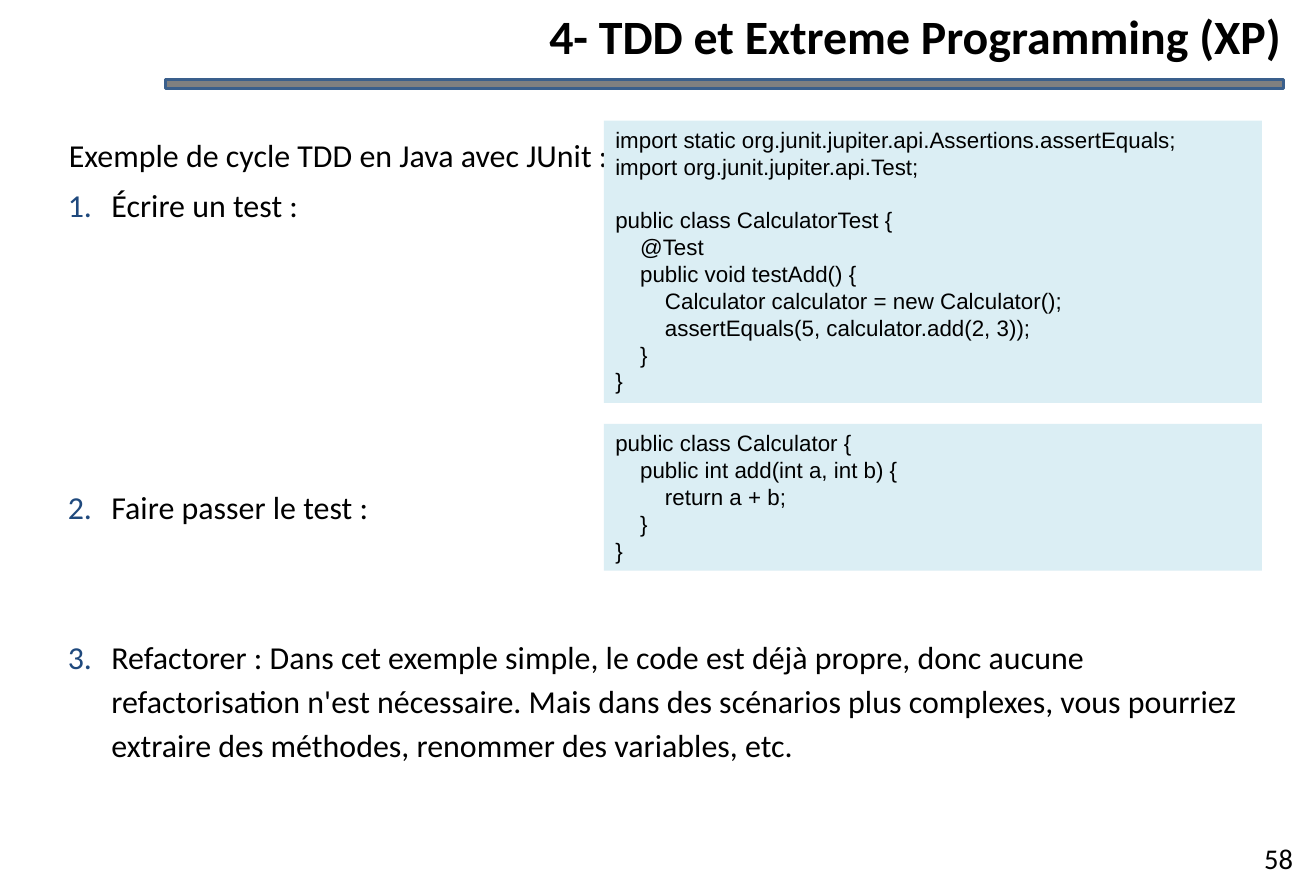
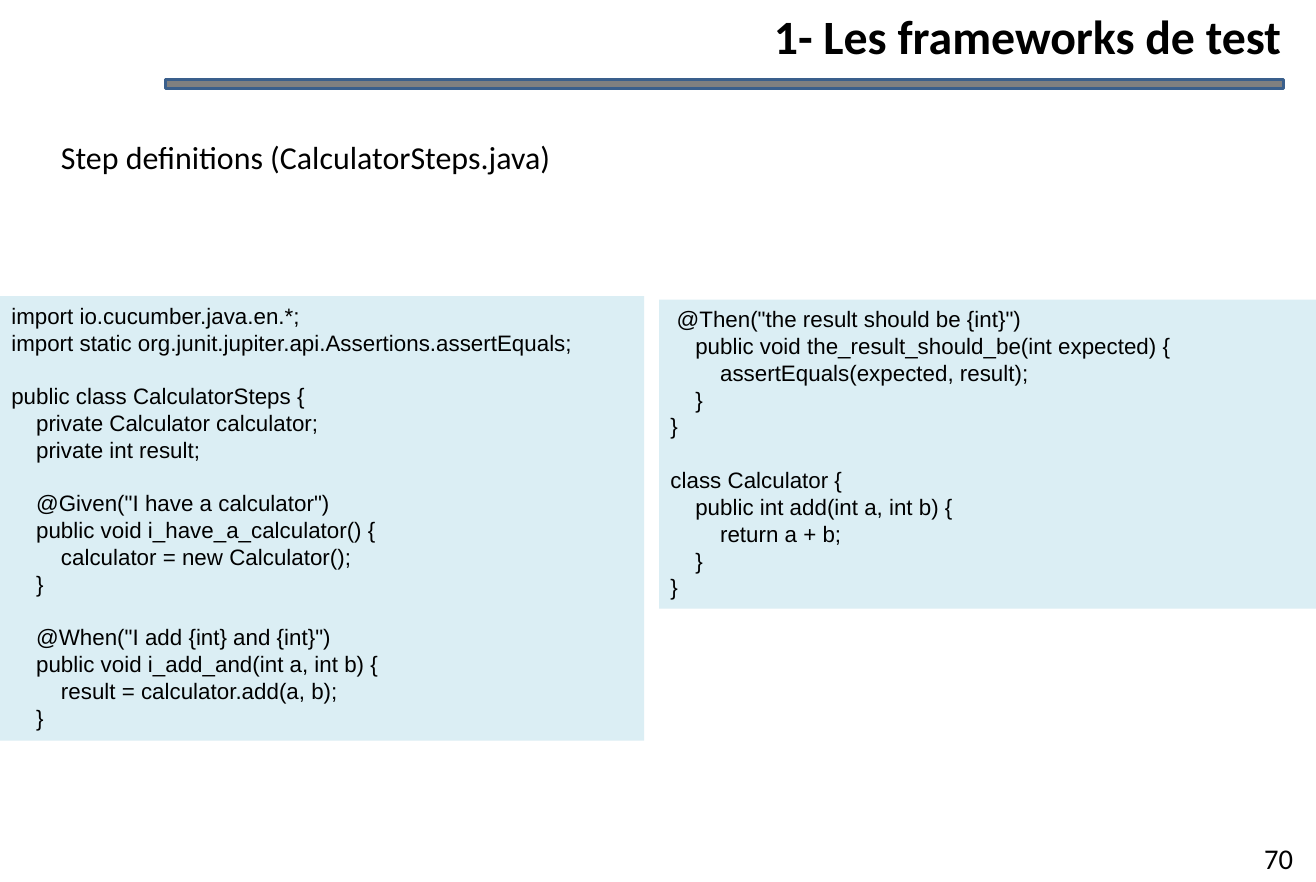
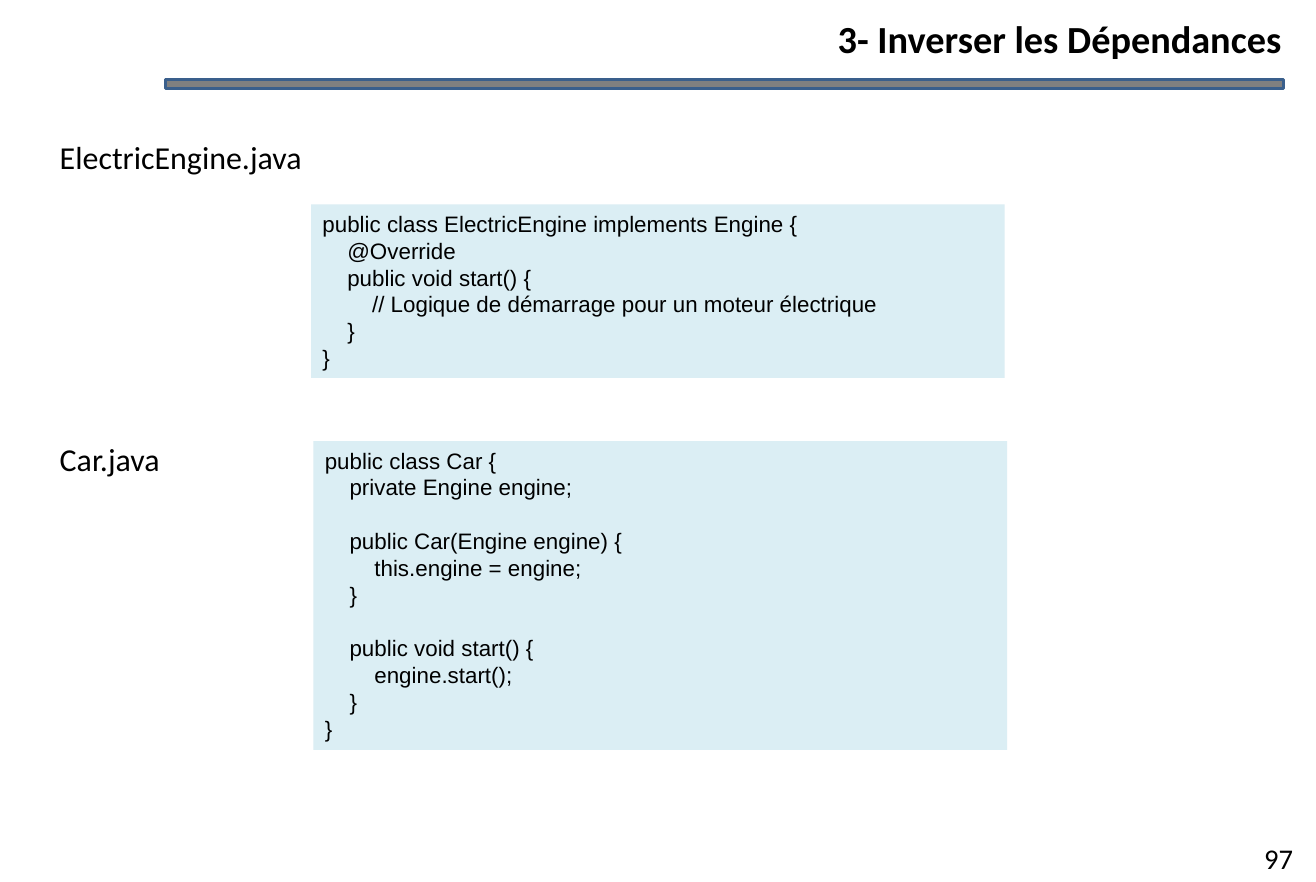
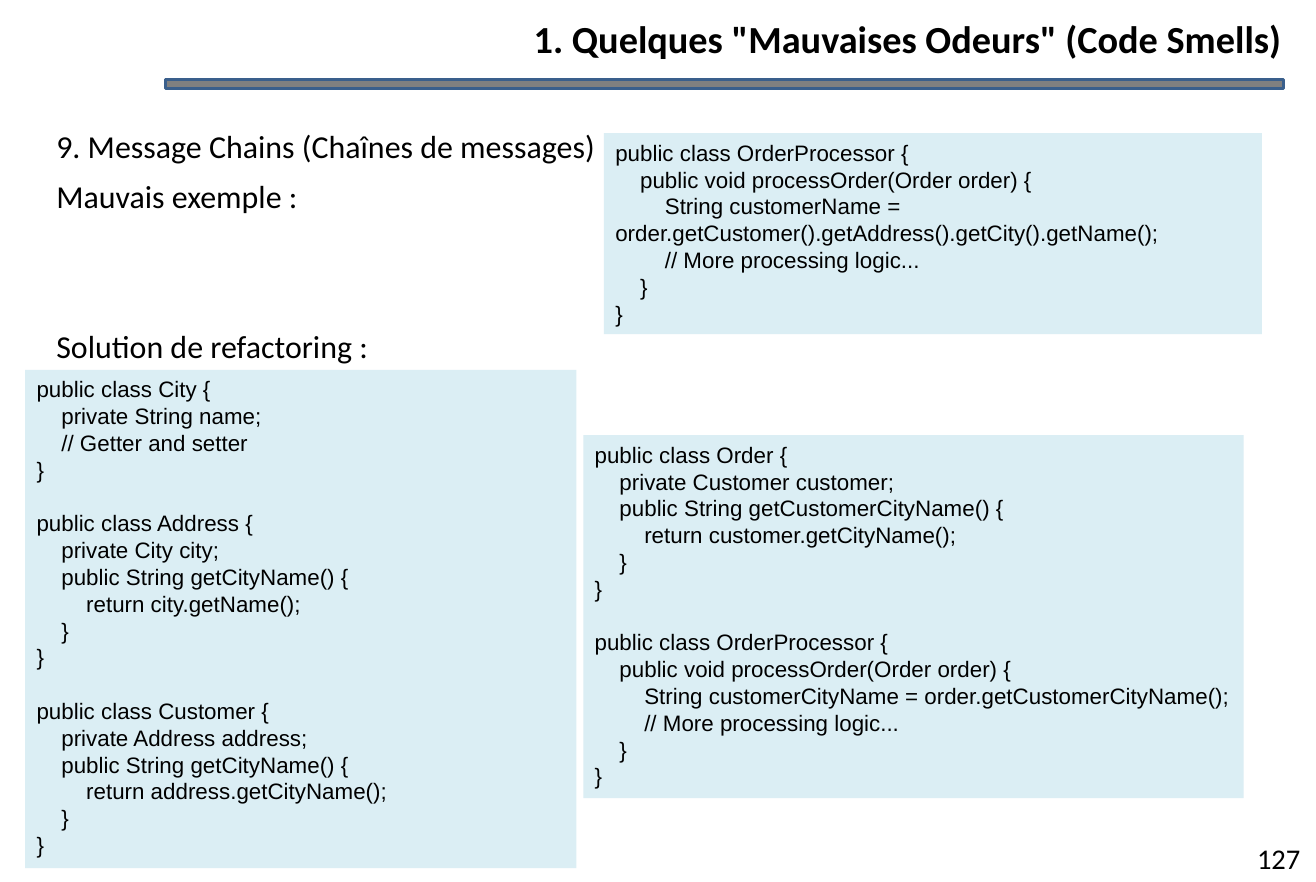
import pptx
import pptx.util
import pptx.dml.color
import pptx.enum.text
import pptx.enum.shapes
import pptx.oxml.ns
import lxml.etree

Inches = pptx.util.Inches
Pt = pptx.util.Pt

BLACK, GREY, BAR_EDGE = "000000", "808080", "3A5F8C"
CODE_FILL, NUMBER_BLUE = "DBEEF4", "1F497D"
CODE_LINE, CODE_SPACE = Pt(16.8), Pt(3.89)
BODY_GAP, BODY_LINE = Pt(3.6), Pt(31.6)
LARGE_TITLE = (30, (2.9, 0.06, 8.26, 0.5))
SMALL_TITLE = (24, (1.95, 0.13, 9.21, 0.4))

SLIDES = [
    {
        "title": "4- TDD et Extreme Programming (XP)",
        "title_style": LARGE_TITLE,
        "page": "58",
        "body_box": (0.3, 1.08, 10.87, 5.78),
        "body": [
            ("Exemple de cycle TDD en Java avec JUnit :", 0, False),
            ("Écrire un test :", 0, True),
            ("Faire passer le test :", 5, True),
            ("Refactorer : Dans cet exemple simple, le code est déjà propre, "
             "donc aucune refactorisation n'est nécessaire. Mais dans des "
             "scénarios plus complexes, vous pourriez extraire des méthodes, "
             "renommer des variables, etc.", 2, True),
        ],
        "code": [
            ((5.26, 1.05, 5.73, 2.46), """
import static org.junit.jupiter.api.Assertions.assertEquals;
import org.junit.jupiter.api.Test;

public class CalculatorTest {
    @Test
    public void testAdd() {
        Calculator calculator = new Calculator();
        assertEquals(5, calculator.add(2, 3));
    }
}
"""),
            ((5.26, 3.69, 5.73, 1.28), """
public class Calculator {
    public int add(int a, int b) {
        return a + b;
    }
}
"""),
        ],
    },
    {
        "title": "1- Les frameworks de test",
        "title_style": LARGE_TITLE,
        "page": "70",
        "body_box": (0.23, 1.1, 11.02, 0.46),
        "body": [("Step definitions (CalculatorSteps.java)", 0, False)],
        "code": [
            ((0, 2.58, 5.61, 3.87), """
import io.cucumber.java.en.*;
import static org.junit.jupiter.api.Assertions.assertEquals;

public class CalculatorSteps {
    private Calculator calculator;
    private int result;

    @Given("I have a calculator")
    public void i_have_a_calculator() {
        calculator = new Calculator();
    }

    @When("I add {int} and {int}")
    public void i_add_and(int a, int b) {
        result = calculator.add(a, b);
    }
"""),
            ((5.74, 2.61, 5.72, 2.69), """
 @Then("the result should be {int}")
    public void the_result_should_be(int expected) {
        assertEquals(expected, result);
    }
}

class Calculator {
    public int add(int a, int b) {
        return a + b;
    }
}
"""),
        ],
    },
    {
        "title": "3- Inverser les Dépendances",
        "title_style": SMALL_TITLE,
        "page": "97",
        "body_box": (0.22, 1.1, 11.02, 3.18),
        "body": [
            ("ElectricEngine.java", 0, False),
            ("Car.java", 5, False),
        ],
        "code": [
            ((2.71, 1.78, 6.04, 1.51), """
public class ElectricEngine implements Engine {
    @Override
    public void start() {
        // Logique de démarrage pour un moteur électrique
    }
}
"""),
            ((2.73, 3.84, 6.04, 2.69), """
public class Car {
    private Engine engine;

    public Car(Engine engine) {
        this.engine = engine;
    }

    public void start() {
        engine.start();
    }
}
"""),
        ],
    },
    {
        "title": "1. Quelques \"Mauvaises Odeurs\" (Code Smells)",
        "title_style": SMALL_TITLE,
        "page": "127",
        "body_box": (0.19, 1, 11.02, 2.28),
        "body": [
            ("9. Message Chains (Chaînes de messages)", 0, False),
            ("Mauvais exemple :", 0, False),
            ("Solution de refactoring :", 2, False),
        ],
        "code": [
            ((5.26, 1.16, 5.73, 1.75), """
public class OrderProcessor {
    public void processOrder(Order order) {
        String customerName = order.getCustomer().getAddress().getCity().getName();
        // More processing logic...
    }
}
"""),
            ((0.22, 3.22, 4.8, 4.34), """
public class City {
    private String name;
    // Getter and setter
}

public class Address {
    private City city;
    public String getCityName() {
        return city.getName();
    }
}

public class Customer {
    private Address address;
    public String getCityName() {
        return address.getCityName();
    }
}
"""),
            ((5.08, 3.79, 5.75, 3.16), """
public class Order {
    private Customer customer;
    public String getCustomerCityName() {
        return customer.getCityName();
    }
}

public class OrderProcessor {
    public void processOrder(Order order) {
        String customerCityName = order.getCustomerCityName();
        // More processing logic...
    }
}
"""),
        ],
    },
]


def color(value):
    return pptx.dml.color.RGBColor.from_string(value)


def place(part, box):
    part.left, part.top, part.width, part.height = map(Inches, box)


def prepare(part, inset=None):
    frame = part.text_frame
    frame.word_wrap = True
    frame.auto_size = pptx.enum.text.MSO_AUTO_SIZE.NONE
    frame.vertical_anchor = pptx.enum.text.MSO_ANCHOR.TOP
    if inset is not None:
        frame.margin_left = frame.margin_right = inset
        frame.margin_top = frame.margin_bottom = inset
    return frame


def paragraphs(frame):
    yield frame.paragraphs[0]
    while True:
        yield frame.add_paragraph()


def write(paragraph, text, size, font="Calibri", bold=False):
    run = paragraph.add_run()
    run.text = text
    run.font.name = font
    run.font.size = Pt(size)
    run.font.bold = bold
    run.font.color.rgb = color(BLACK)


def indent(paragraph, left, first):
    properties = paragraph._p.get_or_add_pPr()
    properties.set("marL", str(int(left)))
    properties.set("indent", str(int(first)))
    return properties


def bullet(properties, numbered):
    tag = pptx.oxml.ns.qn
    if not numbered:
        lxml.etree.SubElement(properties, tag("a:buNone"))
        return
    tint = lxml.etree.SubElement(properties, tag("a:buClr"))
    lxml.etree.SubElement(tint, tag("a:srgbClr")).set("val", NUMBER_BLUE)
    lxml.etree.SubElement(properties, tag("a:buFont")).set("typeface", "+mj-lt")
    lxml.etree.SubElement(properties, tag("a:buAutoNum")).set("type", "arabicPeriod")


def add_title(slide, text, style):
    size, box = style
    title = slide.shapes.title
    place(title, box)
    paragraph = prepare(title, 0).paragraphs[0]
    paragraph.alignment = pptx.enum.text.PP_ALIGN.RIGHT
    write(paragraph, text, size, bold=True)


def add_page(slide, number):
    page = slide.shapes.add_textbox(*map(Inches, (10.81, 7.27, 0.65, 0.41)))
    paragraph = prepare(page).paragraphs[0]
    paragraph.alignment = pptx.enum.text.PP_ALIGN.CENTER
    write(paragraph, number, 17.9)


def add_body(slide, entries, box):
    body = slide.placeholders[1]
    place(body, box)
    lines = paragraphs(prepare(body))
    for text, skipped, numbered in entries:
        paragraph = next(lines)
        paragraph.line_spacing = 1.15
        paragraph.space_before = BODY_GAP + skipped * BODY_LINE
        left, first = (0.57, -0.38) if numbered else (0.2, 0)
        bullet(indent(paragraph, Inches(left), Inches(first)), numbered)
        write(paragraph, text, 20)


def add_code(slide, box, source):
    panel = slide.shapes.add_textbox(*map(Inches, box))
    panel.fill.solid()
    panel.fill.fore_color.rgb = color(CODE_FILL)
    lines = paragraphs(prepare(panel))
    skipped = 0
    for line in source.strip("\n").split("\n"):
        text = line.lstrip()
        if not text:
            skipped += 1
            continue
        paragraph = next(lines)
        paragraph.line_spacing = CODE_LINE
        paragraph.space_before = skipped * CODE_LINE
        indent(paragraph, 0, (len(line) - len(text)) * CODE_SPACE)
        write(paragraph, text, 14, "Arial")
        skipped = 0


def add_bar(layout, slide):
    bar = slide.shapes.add_shape(
        pptx.enum.shapes.MSO_SHAPE.RECTANGLE,
        *map(Inches, (1.44, 0.69, 9.74, 0.08)))
    bar.shadow.inherit = False
    bar.fill.solid()
    bar.fill.fore_color.rgb = color(GREY)
    bar.line.color.rgb = color(BAR_EDGE)
    bar.line.width = Pt(2)
    layout.shapes.element.append(bar.element)


def main():
    deck = pptx.Presentation()
    deck.slide_width, deck.slide_height = Inches(11.46), Inches(7.68)
    layout = deck.slide_layouts[1]
    for content in SLIDES:
        slide = deck.slides.add_slide(layout)
        add_title(slide, content["title"], content["title_style"])
        add_page(slide, content["page"])
        add_body(slide, content["body"], content["body_box"])
        for box, source in content["code"]:
            add_code(slide, box, source)
    add_bar(layout, deck.slides[0])
    deck.save("out.pptx")


if __name__ == "__main__":
    main()
